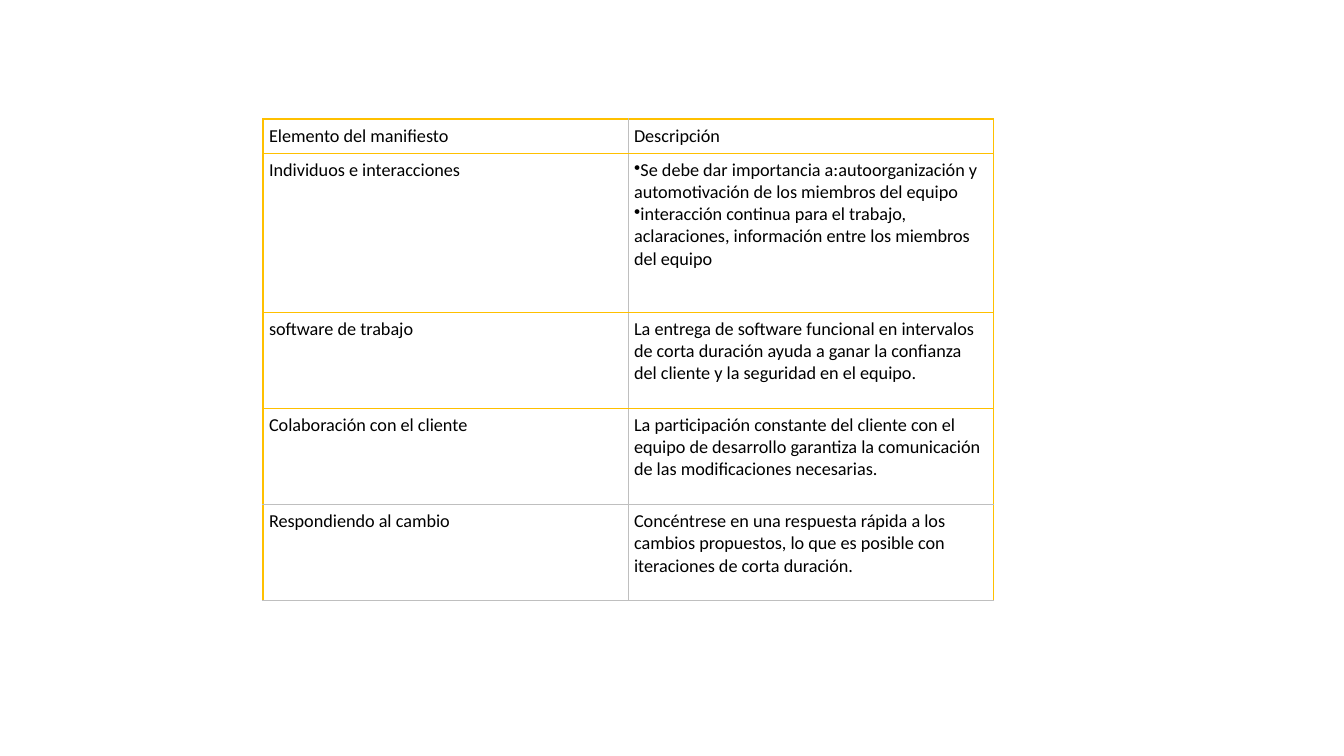
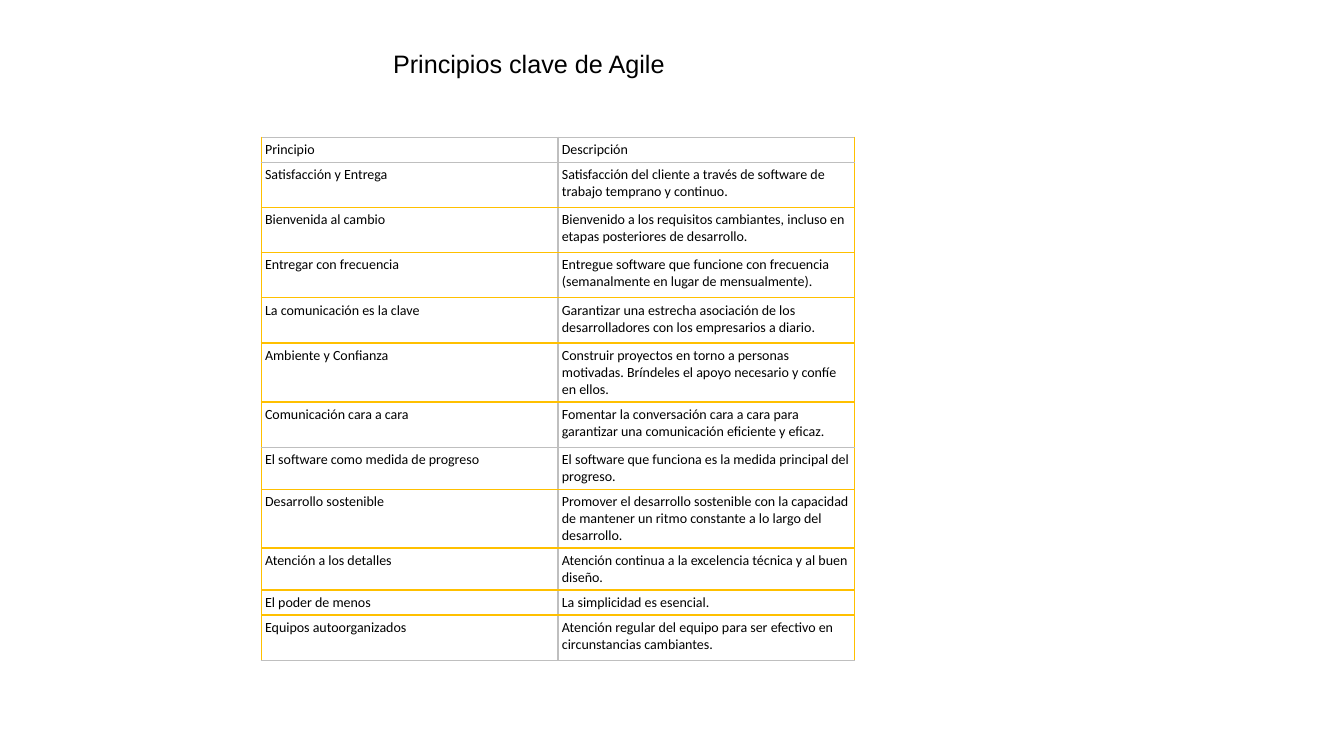
from lxml import etree
from pptx import Presentation
from pptx import util as u
from pptx.dml.color import RGBColor
from pptx.enum import text
from pptx.oxml.ns import qn

BLACK = RGBColor(0x00, 0x00, 0x00)
AMBER = RGBColor(0xFF, 0xC0, 0x00)
GREY = RGBColor(0xBF, 0xBF, 0xBF)
TITLE_FORMAT = {"name": "Arial", "size": u.Pt(18), "bold": False}
TITLE_BOX = (9.65, 1.09, 8.81, 1.02)  # left, top, width, height in cm
TITLE_ONLY, BLANK = 5, 6

# Lengths in cm. A row holds its height, its term and its description;
# a list as description is bulleted. grey_rules numbers the horizontal
# rules drawn in grey, counted from the top edge of the table.
SLIDES = [
    {
        "title": None,
        "left": 6.63, "top": 3, "column": 9.2, "margin": 0.15, "size": 13,
        "grey_rules": {4, 5},
        "rows": [
            (0.81, "Elemento del manifiesto", "Descripción"),
            (4.01, "Individuos e interacciones", [
                "Se debe dar importancia a:autoorganización y automotivación "
                "de los miembros del equipo",
                "interacción continua para el trabajo, aclaraciones, "
                "información entre los miembros del equipo"]),
            (2.42, "software de trabajo",
             "La entrega de software funcional en intervalos de corta duración "
             "ayuda a ganar la confianza del cliente y la seguridad en el equipo."),
            (2.42, "Colaboración con el cliente",
             "La participación constante del cliente con el equipo de desarrollo "
             "garantiza la comunicación de las modificaciones necesarias."),
            (2.42, "Respondiendo al cambio",
             "Concéntrese en una respuesta rápida a los cambios propuestos, "
             "lo que es posible con iteraciones de corta duración."),
        ],
    },
    {
        "title": "Principios clave de Agile",
        "left": 6.58, "top": 3.46, "column": 7.48, "margin": 0.1, "size": 10,
        "grey_rules": {0, 1, 7, 12},
        "rows": [
            (0.51, "Principio", "Descripción"),
            (1.14, "Satisfacción y Entrega",
             "Satisfacción del cliente a través de software de trabajo "
             "temprano y continuo."),
            (1.14, "Bienvenida al cambio",
             "Bienvenido a los requisitos cambiantes, incluso en etapas "
             "posteriores de desarrollo."),
            (1.14, "Entregar con frecuencia",
             "Entregue software que funcione con frecuencia "
             "(semanalmente en lugar de mensualmente)."),
            (1.14, "La comunicación es la clave",
             "Garantizar una estrecha asociación de los desarrolladores "
             "con los empresarios a diario."),
            (1.14, "Ambiente y Confianza",
             "Construir proyectos en torno a personas motivadas. "
             "Bríndeles el apoyo necesario y confíe en ellos."),
            (1.14, "Comunicación cara a cara",
             "Fomentar la conversación cara a cara para garantizar una "
             "comunicación eficiente y eficaz."),
            (0.81, "El software como medida de progreso",
             "El software que funciona es la medida principal del progreso."),
            (1.47, "Desarrollo sostenible",
             "Promover el desarrollo sostenible con la capacidad de mantener "
             "un ritmo constante a lo largo del desarrollo."),
            (0.81, "Atención a los detalles",
             "Atención continua a la excelencia técnica y al buen diseño."),
            (0.51, "El poder de menos", "La simplicidad es esencial."),
            (1.14, "Equipos autoorganizados",
             "Atención regular del equipo para ser efectivo en "
             "circunstancias cambiantes."),
        ],
    },
]


def apply_format(target, values):
    for name, value in values.items():
        setattr(target, name, value)


def set_borders(cell, colors):
    """Draw the left, right, top and bottom borders in the given colours."""
    properties = cell._tc.get_or_add_tcPr()
    for index, (side, color) in enumerate(zip("LRTB", colors)):
        line = etree.Element(qn("a:ln" + side), w=str(u.Pt(1)))
        fill = etree.SubElement(line, qn("a:solidFill"))
        etree.SubElement(fill, qn("a:srgbClr"), val=str(color))
        properties.insert(index, line)


def fill_cell(cell, content, margin, size):
    bulleted = isinstance(content, list)
    lines = content if bulleted else [content]
    apply_format(cell, {"margin_" + side: u.Cm(margin)
                        for side in ("left", "right", "top", "bottom")})
    cell.fill.background()
    cell.text_frame.text = "\n".join(lines)
    for paragraph in cell.text_frame.paragraphs:
        apply_format(paragraph.font, {"name": "Calibri", "size": u.Pt(size), "bold": False})
        paragraph.font.color.rgb = BLACK
        if bulleted:
            properties = paragraph._p.get_or_add_pPr()
            bullet = etree.Element(qn("a:buChar"), char="•")
            properties.insert(0, bullet)


def add_title(slide, wording):
    title = slide.shapes.title
    apply_format(title, dict(zip(("left", "top", "width", "height"), map(u.Cm, TITLE_BOX))))
    frame = title.text_frame
    frame.text = wording
    apply_format(frame, {"word_wrap": True, "vertical_anchor": text.MSO_ANCHOR.TOP,
                         "auto_size": text.MSO_AUTO_SIZE.NONE})
    paragraph = frame.paragraphs[0]
    paragraph.alignment = text.PP_ALIGN.LEFT
    apply_format(paragraph.font, TITLE_FORMAT)
    paragraph.font.color.rgb = BLACK


def add_grid(slide, content):
    rows = content["rows"]
    height = sum(row[0] for row in rows)
    table = slide.shapes.add_table(
        len(rows), 2, u.Cm(content["left"]), u.Cm(content["top"]),
        u.Cm(2 * content["column"]), u.Cm(height)).table
    apply_format(table, {"first_row": False, "horz_banding": False})
    rules = [GREY if number in content["grey_rules"] else AMBER
             for number in range(len(rows) + 1)]
    sides = [AMBER, GREY, AMBER]
    for column in table.columns:
        column.width = u.Cm(content["column"])
    for r, (row_height, *cells) in enumerate(rows):
        table.rows[r].height = u.Cm(row_height)
        for c, wording in enumerate(cells):
            cell = table.cell(r, c)
            fill_cell(cell, wording, content["margin"], content["size"])
            set_borders(cell, sides[c:c + 2] + rules[r:r + 2])


def main():
    presentation = Presentation()
    presentation.slide_width, presentation.slide_height = u.Cm(33.87), u.Cm(19.05)
    for content in SLIDES:
        layout = TITLE_ONLY if content["title"] else BLANK
        slide = presentation.slides.add_slide(presentation.slide_layouts[layout])
        if content["title"]:
            add_title(slide, content["title"])
        add_grid(slide, content)
    presentation.save("out.pptx")


if __name__ == "__main__":
    main()
